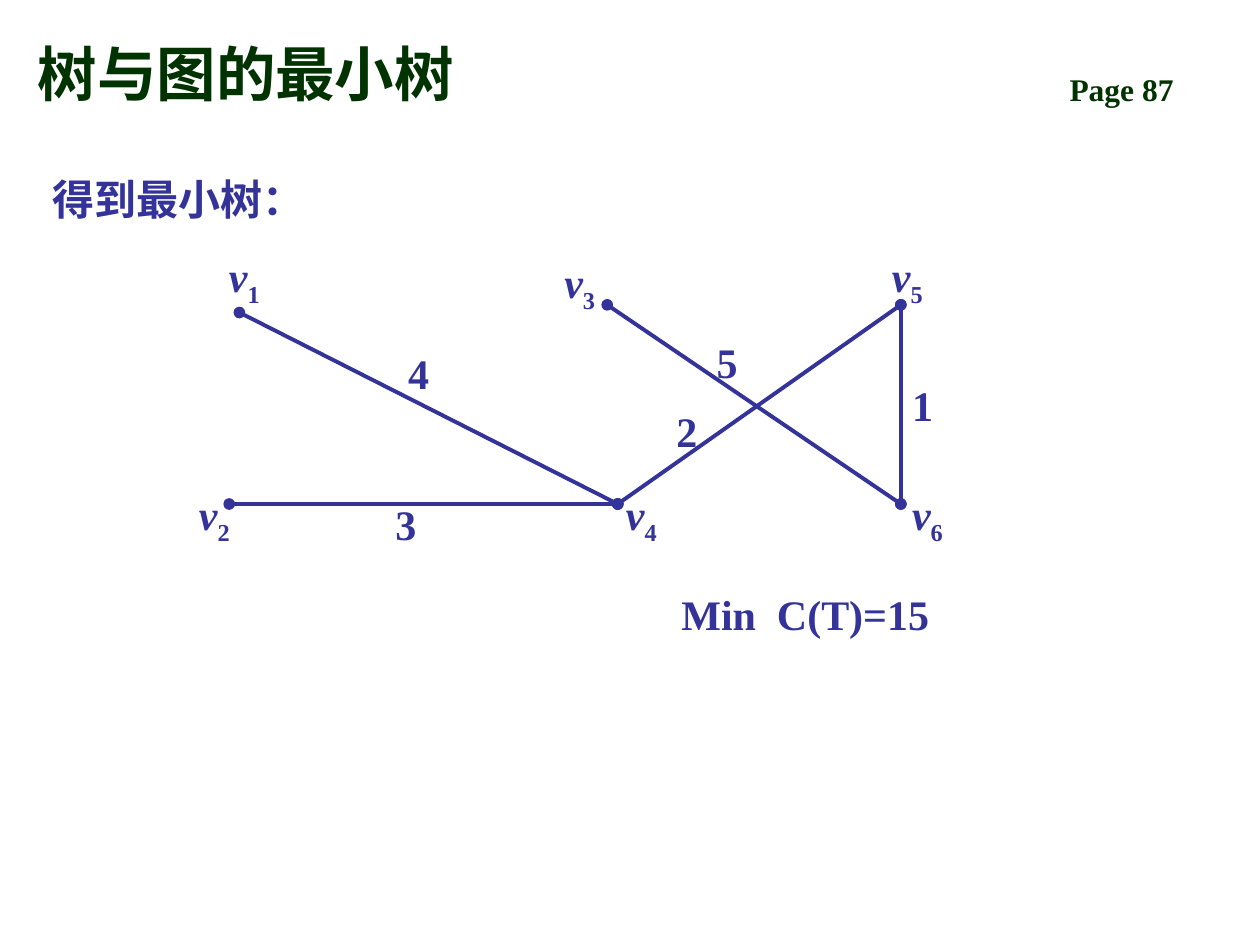
from lxml import etree
from pptx import Presentation
from pptx.dml.color import RGBColor
from pptx.enum import shapes, text
from pptx.oxml.ns import qn
from pptx.util import Pt

GREEN = RGBColor(0x00, 0x33, 0x00)
BLUE = RGBColor(0x33, 0x33, 0x99)
FONT = "Times New Roman"

TITLE = "树与图的最小树"
PAGE = "Page 87"
LEAD = "得到最小树："
TOTAL = "Min  C(T)=15"

# vertex number: (point, top left of its label)
VERTICES = {
    1: ((136.8, 178.6), (123.8, 139.7)),
    2: ((131, 288), (106.6, 275.8)),
    3: ((347, 174.2), (315.4, 143.3)),
    4: ((353, 288), (350.6, 275.8)),
    5: ((514.8, 174.2), (502.6, 139.7)),
    6: ((514.8, 288), (514.1, 275.8)),
}
# from vertex, to vertex, weight, top left of the weight
EDGES = [
    (2, 4, 3, (218.9, 281.5)),
    (1, 4, 4, (226.1, 195.1)),
    (5, 4, 2, (379.4, 228.2)),
    (3, 6, 5, (402.5, 188.6)),
    (5, 6, 1, (514.1, 213.1)),
]
LABEL_HEIGHT = 36
VERTEX_WIDTH, WEIGHT_WIDTH = 33, 26.6


def style(paragraph, size, color):
    font = paragraph.font
    font.name, font.size, font.bold = FONT, Pt(size), True
    font.color.rgb = color


def add_text(slide, content, corner, width, height=LABEL_HEIGHT, size=24,
             color=BLUE, wrap=False):
    box = slide.shapes.add_textbox(*map(Pt, (*corner, width, height)))
    frame = box.text_frame
    frame.word_wrap = wrap
    frame.auto_size = text.MSO_AUTO_SIZE.SHAPE_TO_FIT_TEXT
    paragraph = frame.paragraphs[0]
    paragraph.text = content
    style(paragraph, size, color)
    return paragraph


def add_vertex_label(slide, number, corner):
    paragraph = add_text(slide, "v", corner, VERTEX_WIDTH)
    paragraph.runs[0].font.italic = True
    subscript = paragraph.add_run()
    subscript.text = str(number)
    subscript.font._element.set("baseline", "-25000")


def add_edge(slide, start, end):
    """Draw a line with a dot at each end."""
    edge = slide.shapes.add_connector(
        shapes.MSO_CONNECTOR.STRAIGHT, *map(Pt, (*start, *end)))
    edge.line.color.rgb = BLUE
    edge.line.width = Pt(2.25)
    outline = edge.line._get_or_add_ln()
    for tag in ("a:headEnd", "a:tailEnd"):
        etree.SubElement(outline, qn(tag), type="oval")
    etree.SubElement(edge._element.spPr, qn("a:effectLst"))


def main():
    deck = Presentation()
    deck.slide_width, deck.slide_height = Pt(720), Pt(540)
    slide = deck.slides.add_slide(deck.slide_layouts[5])

    title = slide.shapes.title
    title.left, title.top, title.width, title.height = map(
        Pt, (14.4, 9.4, 578.2, 56.2))
    frame = title.text_frame
    frame.text = TITLE
    frame.vertical_anchor = text.MSO_ANCHOR.BOTTOM
    frame.auto_size = text.MSO_AUTO_SIZE.NONE
    frame.paragraphs[0].alignment = text.PP_ALIGN.LEFT
    style(frame.paragraphs[0], 34, GREEN)

    add_text(slide, PAGE, (604.1, 36.7), 102.2, 28.8, 18, GREEN, wrap=True)

    for start, end, weight, corner in EDGES:
        add_edge(slide, VERTICES[start][0], VERTICES[end][0])
        add_text(slide, str(weight), corner, WEIGHT_WIDTH)
    for number, (_, corner) in VERTICES.items():
        add_vertex_label(slide, number, corner)

    add_text(slide, LEAD, (23, 95.8), 158.4)
    add_text(slide, TOTAL, (382.3, 332.6), 232.6, wrap=True)
    deck.save("out.pptx")


if __name__ == "__main__":
    main()
